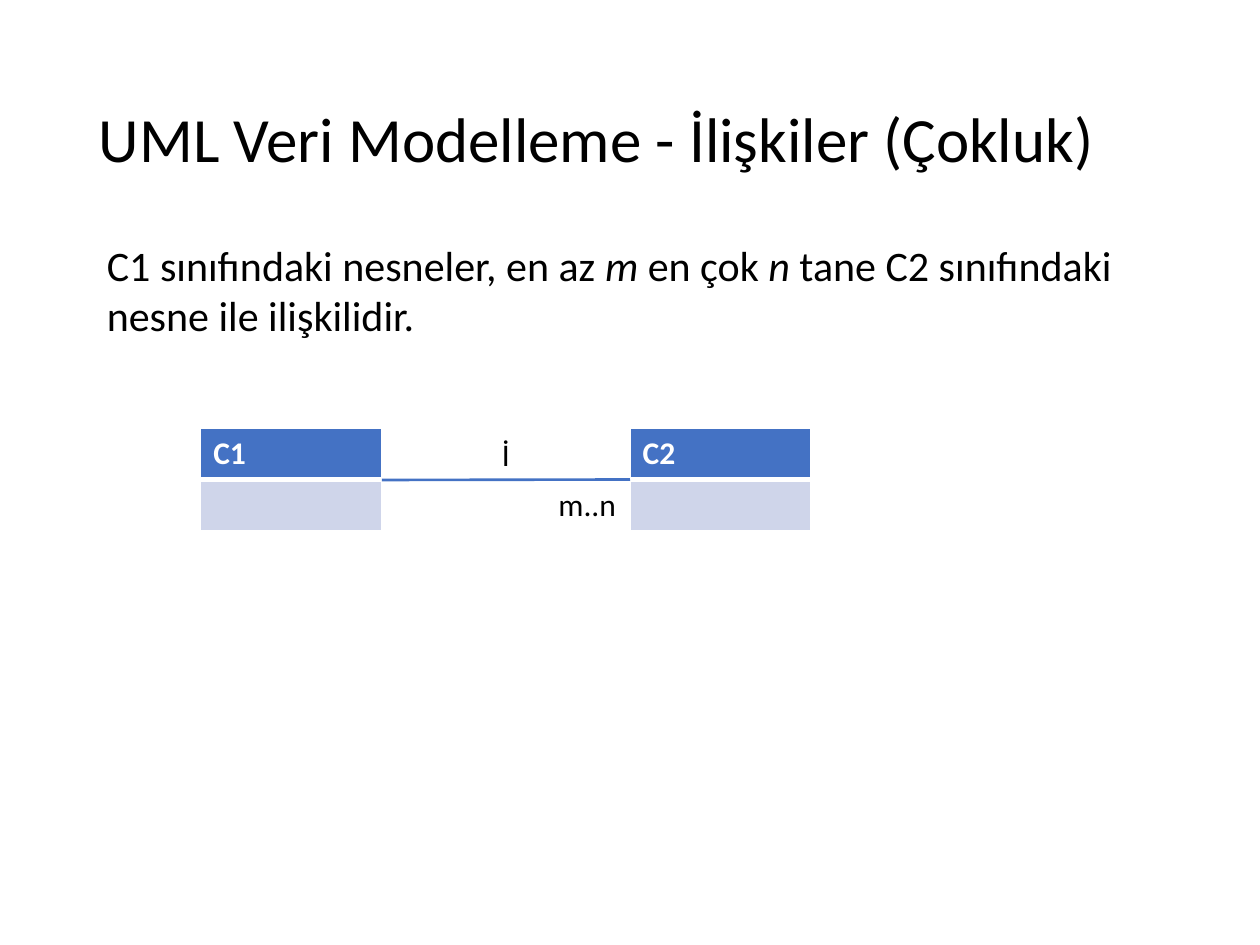
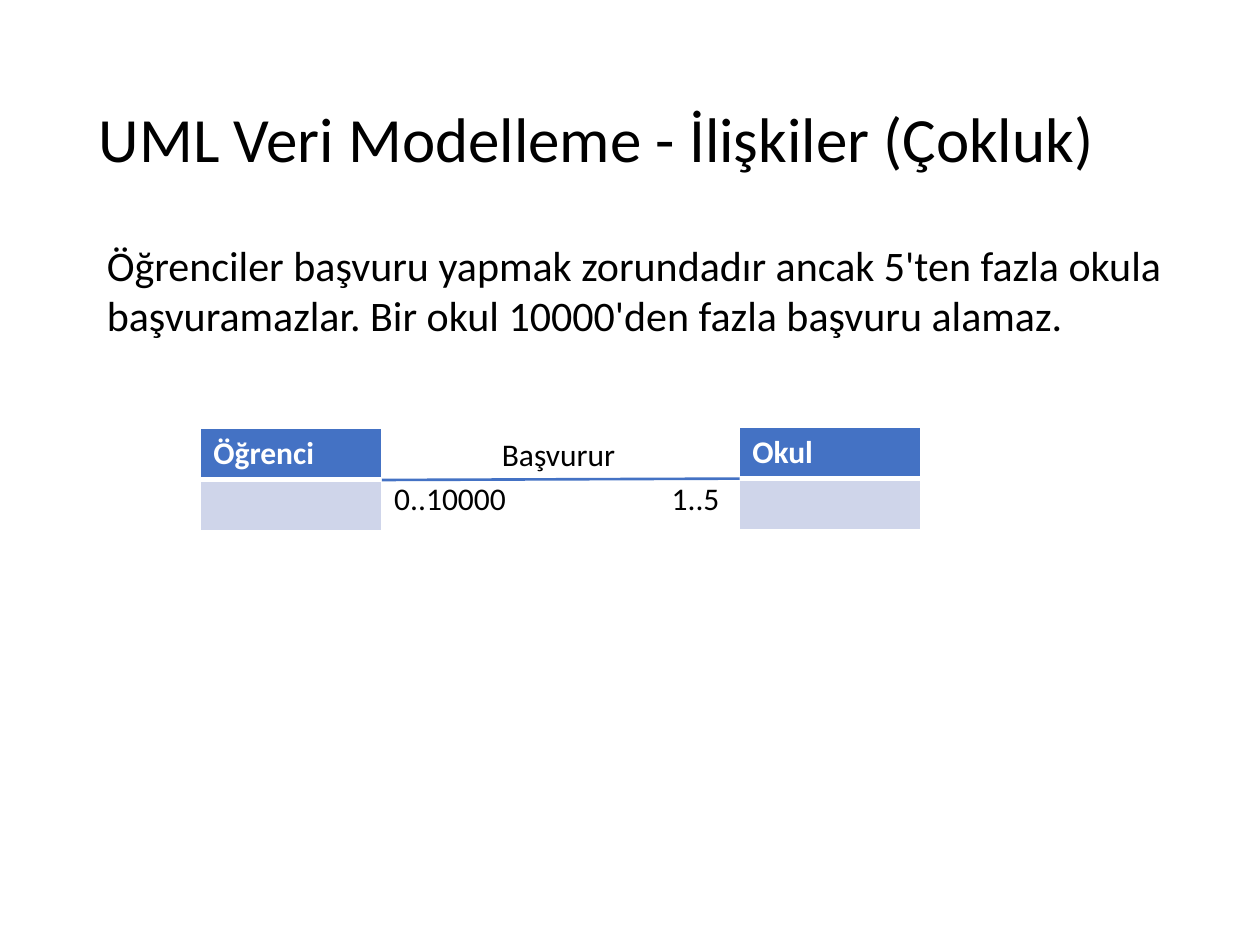
from pptx import Presentation
from pptx.dml.color import RGBColor
from pptx.enum.shapes import MSO_CONNECTOR as CONN
from pptx.enum.text import MSO_ANCHOR as ANCHOR
from pptx.oxml.ns import qn
from pptx.util import Pt
from lxml.etree import SubElement

FONT = "Calibri"
BLACK, WHITE, BLUE, PALE = "000000", "FFFFFF", "4472C4", "CFD5EA"
TITLE = "UML Veri Modelleme - İlişkiler (Çokluk)"
TITLE_BOX = (49.5, 29, 621, 104.4)
BODY_BOX = (54, 133.2, 617, 65.5)
CLASS_W, ROW_H = 103.5, 29.2
DIAGRAM_X, DIAGRAM_Y = 114.7, 244.8


def rgb(value):
    return RGBColor.from_string(value)


def add_run(p, text, size, color=BLACK, bold=False, italic=False):
    r = p.add_run()
    r.text = text
    font = r.font
    font.name, font.size, font.bold, font.italic = FONT, Pt(size), bold, italic
    font.color.rgb = rgb(color)


def add_text(s, box, runs, size, wrap=True, anchor=ANCHOR.TOP, spacing=None):
    """Text box; runs are (text, italic) pairs."""
    tf = s.shapes.add_textbox(*map(Pt, box)).text_frame
    tf.word_wrap = wrap
    tf.vertical_anchor = anchor
    p = tf.paragraphs[0]
    p.line_spacing = spacing
    for text, italic in runs:
        add_run(p, text, size, italic=italic)


def set_borders(cell, widths):
    """White borders; widths in points for left, right, top, bottom."""
    tc_pr = cell._tc.get_or_add_tcPr()
    for i, (tag, width) in enumerate(zip(("a:lnL", "a:lnR", "a:lnT", "a:lnB"), widths)):
        ln = SubElement(tc_pr, qn(tag), w=str(Pt(width)))
        SubElement(SubElement(ln, qn("a:solidFill")), qn("a:srgbClr"), val=WHITE)
        tc_pr.insert(i, ln)  # borders come before the fill


def add_class(s, x, y, name):
    """UML class: a name row over an empty attribute row."""
    table = s.shapes.add_table(2, 1, Pt(x), Pt(y), Pt(CLASS_W), Pt(2 * ROW_H)).table
    rows = ((BLUE, (1, 1, 1, 3)), (PALE, (1, 1, 3, 1)))
    for i, (color, widths) in enumerate(rows):
        table.rows[i].height = Pt(ROW_H)
        cell = table.cell(i, 0)
        cell.fill.solid()
        cell.fill.fore_color.rgb = rgb(color)
        set_borders(cell, widths)
    add_run(table.cell(0, 0).text_frame.paragraphs[0], name, 18, WHITE, bold=True)


def add_relation(s, x, y, names, right, labels):
    """Two classes joined by a line; right and labels are offsets from (x, y)."""
    right_x, right_y = x + right[0], y + right[1]
    add_class(s, x, y, names[0])
    add_class(s, right_x, right_y, names[1])

    # Association line between the facing sides
    line = s.shapes.add_connector(CONN.STRAIGHT, Pt(x + CLASS_W), Pt(y + ROW_H + 0.3),
                                  Pt(right_x), Pt(right_y + ROW_H))
    line.line.color.rgb = rgb(BLUE)
    line.line.width = Pt(1.5)
    SubElement(line._element.spPr, qn("a:effectLst"))

    # Relation name and multiplicities
    for text, dx, dy, width in labels:
        add_text(s, (x + dx, y + dy, width, 29), [(text, False)], 18, wrap=False)


def add_slide(prs, body, names, right, labels):
    s = prs.slides.add_slide(prs.slide_layouts[6])
    add_text(s, TITLE_BOX, [(TITLE, False)], 36, anchor=ANCHOR.MIDDLE, spacing=0.9)
    add_text(s, BODY_BOX, body, 24)
    add_relation(s, DIAGRAM_X, DIAGRAM_Y, names, right, labels)


def main():
    prs = Presentation()
    prs.slide_width, prs.slide_height = Pt(720), Pt(540)

    # General rule
    add_slide(
        prs,
        [("C1 sınıfındaki nesneler, en az ", False), ("m", True), (" en çok ", False),
         ("n", True), (" tane C2 sınıfındaki nesne ile ilişkilidir.", False)],
        ("C1", "C2"), (245.3, 0),
        [("İ", 165, 0, 19.5), ("m..n", 197.3, 29, 47.5)])

    # Worked example
    add_slide(
        prs,
        [("Öğrenciler başvuru yapmak zorundadır ancak 5'ten fazla okula "
          "başvuramazlar. Bir okul 10000'den fazla başvuru alamaz.", False)],
        ("Öğrenci", "Okul"), (308, -0.5),
        [("Başvurur", 165, 0, 80), ("1..5", 262, 25.5, 41.8),
         ("0..10000", 103.5, 25.5, 79.2)])

    prs.save("out.pptx")


if __name__ == "__main__":
    main()
